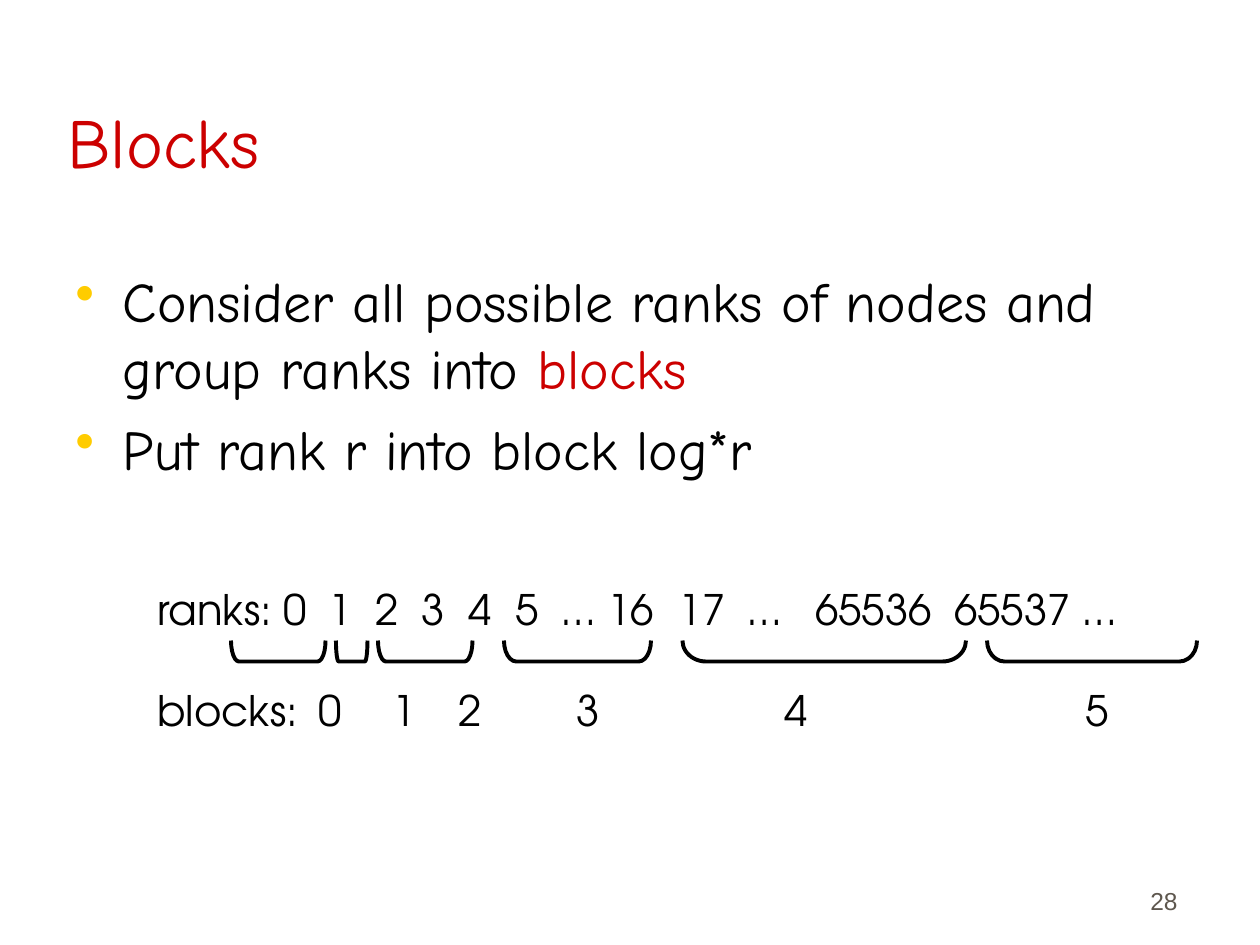
import pptx
import pptx.dml.color
import pptx.enum.shapes
import pptx.enum.text
import pptx.oxml.ns
import pptx.util
from lxml import etree

Pt = pptx.util.Pt
RGBColor = pptx.dml.color.RGBColor
Anchor = pptx.enum.text.MSO_ANCHOR
Align = pptx.enum.text.PP_ALIGN

RED = RGBColor(0xCC, 0x00, 0x00)
BLACK = RGBColor(0x00, 0x00, 0x00)
YELLOW = RGBColor(0xFF, 0xCC, 0x00)
GRAY = RGBColor(0x5E, 0x57, 0x4E)

presentation = pptx.Presentation()
presentation.slide_width = Pt(720)
presentation.slide_height = Pt(540)
slide = presentation.slides.add_slide(presentation.slide_layouts[6])


def add_text(text_frame, runs, font="Comic Neue", size=32, align=Align.LEFT,
             space_before=0, bullet=None, tabs=()):
    """Add a paragraph of (text, colour) runs; tabs are stops in points."""
    paragraph = text_frame.paragraphs[0]
    if paragraph.runs:
        paragraph = text_frame.add_paragraph()
    paragraph.alignment = align
    paragraph.space_before = Pt(space_before)
    for text, color in runs:
        run = paragraph.add_run()
        run.text = text
        run.font.name = font
        run.font.size = Pt(size)
        run.font.color.rgb = color
    qn = pptx.oxml.ns.qn
    properties = paragraph._p.get_or_add_pPr()
    if bullet:
        properties.set("marL", str(Pt(27)))
        properties.set("indent", str(Pt(-27)))
        bullet_color = etree.SubElement(properties, qn("a:buClr"))
        etree.SubElement(bullet_color, qn("a:srgbClr"), val=str(bullet))
        etree.SubElement(properties, qn("a:buChar"), char="•")
    if tabs:
        tab_list = etree.SubElement(properties, qn("a:tabLst"))
        for stop in tabs:
            etree.SubElement(tab_list, qn("a:tab"), pos=str(Pt(stop)), algn="l")


def add_frame(left, top, width, height, anchor=Anchor.TOP):
    box = slide.shapes.add_textbox(Pt(left), Pt(top), Pt(width), Pt(height))
    box.text_frame.word_wrap = True
    box.text_frame.vertical_anchor = anchor
    return box.text_frame


number = add_frame(530, 490.5, 150, 36, Anchor.BOTTOM)
add_text(number, [("28", GRAY)], font="Arial", size=14, align=Align.RIGHT)

title = add_frame(31.5, 18, 612, 90, Anchor.BOTTOM)
add_text(title, [("Blocks", RED)], size=40)

body = add_frame(36, 148.5, 644, 328.5)
bullets = [
    [("Consider all possible ranks of nodes and group ranks into ", BLACK),
     ("blocks", RED)],
    [("Put rank r into block log*r", BLACK)],
]
for runs in bullets:
    add_text(body, runs, space_before=8, bullet=YELLOW)

# Each row: space before, then the entries and the tab stops they start at
table_rows = [
    (0, ["ranks: 0", "1", "2", "3", "4", "5", "… 16", "17", "…", "65536", "65537 …"],
     [98, 124.5, 151, 178, 204.5, 231, 298, 337, 376, 455.5]),
    (29, ["blocks:", "0", "1", "2", "3", "4", "5"],
     [92, 134.5, 172, 239.5, 358.5, 530.5]),
]
ranks_and_blocks = add_frame(82.8, 329.8, 590, 93.6)
for gap, entries, stops in table_rows:
    add_text(ranks_and_blocks, [("\t".join(entries), BLACK)],
             font="TeX Gyre Adventor", size=24, space_before=gap, tabs=stops)

# Brackets are turned to open upwards, so their height runs along the row
BRACKET_TOP, BRACKET_DEPTH = 366, 12
brackets = [(132, 54), (192, 18), (216, 54), (288, 84), (390, 162), (564, 120)]
for start, length in brackets:
    bracket = slide.shapes.add_shape(
        pptx.enum.shapes.MSO_SHAPE.LEFT_BRACKET,
        Pt(start + (length - BRACKET_DEPTH) / 2),
        Pt(BRACKET_TOP + (BRACKET_DEPTH - length) / 2),
        Pt(BRACKET_DEPTH), Pt(length))
    bracket.rotation = 270
    bracket.adjustments[0] = length / 12 / BRACKET_DEPTH
    bracket.shadow.inherit = False
    bracket.fill.background()
    bracket.line.color.rgb = BLACK
    bracket.line.width = Pt(2.25)

presentation.save("out.pptx")
